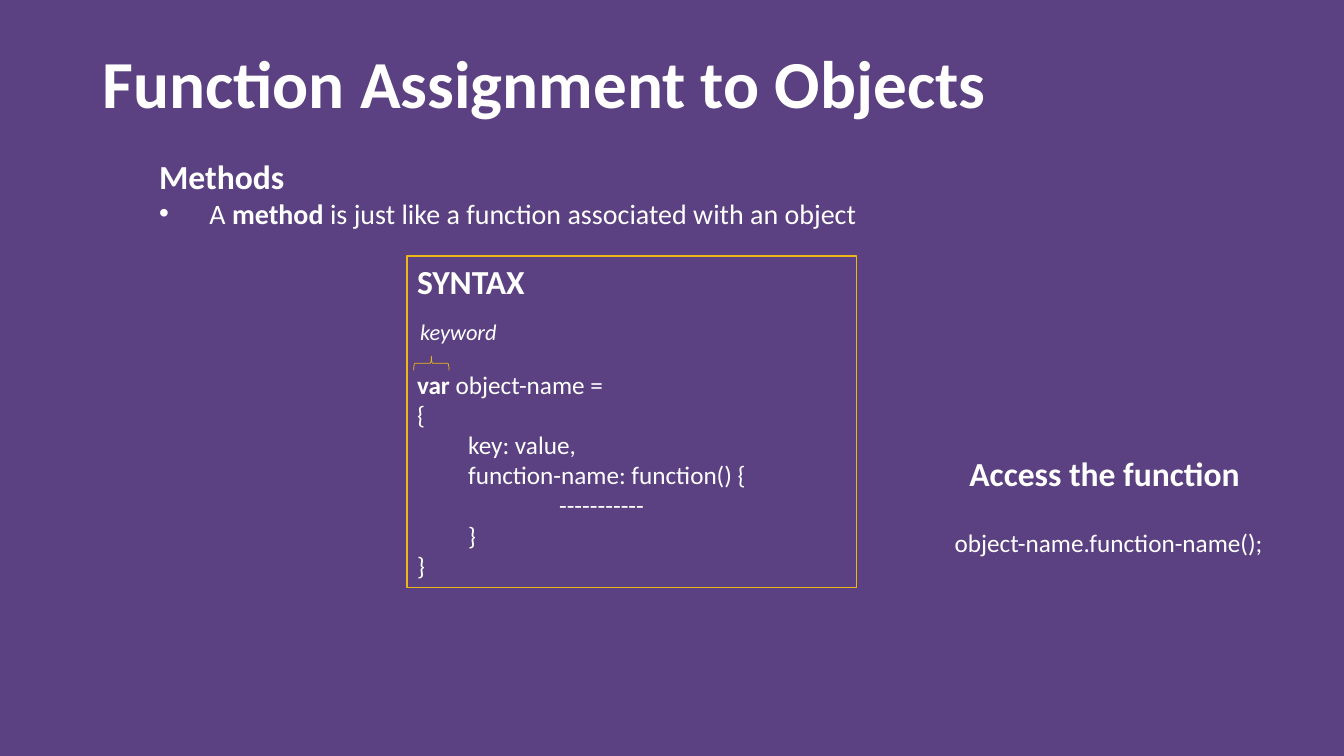
"""Build the slide on assigning functions to objects."""
from dataclasses import dataclass

from lxml import etree
from pptx import Presentation
from pptx.dml.color import RGBColor
from pptx.enum.shapes import MSO_SHAPE
from pptx.enum.text import MSO_ANCHOR, MSO_AUTO_SIZE, PP_ALIGN
from pptx.oxml.ns import qn
from pptx.util import Cm, Pt

LEFT, CENTER = PP_ALIGN.LEFT, PP_ALIGN.CENTER
TOP, MIDDLE = MSO_ANCHOR.TOP, MSO_ANCHOR.MIDDLE
NO_FIT, GROW = MSO_AUTO_SIZE.NONE, MSO_AUTO_SIZE.SHAPE_TO_FIT_TEXT
RECTANGLE, LEFT_BRACE = MSO_SHAPE.RECTANGLE, MSO_SHAPE.LEFT_BRACE


@dataclass(frozen=True)
class Theme:
    background: RGBColor = RGBColor(0x5B, 0x41, 0x81)
    text: RGBColor = RGBColor(0xFF, 0xFF, 0xFF)
    accent: RGBColor = RGBColor(0xED, 0xB7, 0x16)
    font: str = "Calibri"
    title: Pt = Pt(48)
    heading: Pt = Pt(24)
    body: Pt = Pt(20)
    code: Pt = Pt(18)
    label: Pt = Pt(16)


theme = Theme()
BOLD = {"bold": True}


def add_text(place, lines, size, align=LEFT, anchor=TOP, fit=GROW, wrap=False):
    box = page.shapes.add_textbox(*map(Cm, place))
    frame = box.text_frame
    frame_format = {"word_wrap": wrap, "auto_size": fit, "vertical_anchor": anchor}
    for name, value in frame_format.items():
        setattr(frame, name, value)
    for index, line in enumerate(lines):
        para = frame.add_paragraph() if index else frame.paragraphs[0]
        para.alignment = align
        for text, extra in line:
            span = para.add_run()
            span.text = text
            span.font.color.rgb = theme.text
            span_format = {"name": theme.font, "size": size, "bold": False, **extra}
            for name, value in span_format.items():
                setattr(span.font, name, value)
    return frame


def add_outline(kind, place, width):
    shape = page.shapes.add_shape(kind, *map(Cm, place))
    shape.shadow.inherit = False
    shape.fill.background()
    shape.line.color.rgb = theme.accent
    shape.line.width = Pt(width)
    return shape


deck = Presentation()
deck.slide_width, deck.slide_height = Cm(33.87), Cm(19.05)
page = deck.slides.add_slide(deck.slide_layouts[6])
page.background.fill.solid()
page.background.fill.fore_color.rgb = theme.background

title = add_text((2.34, 1.02, 29.21, 2.31), [[("Function Assignment to Objects", BOLD)]],
                 theme.title, anchor=MIDDLE, fit=NO_FIT, wrap=True)
title.paragraphs[0].line_spacing = 0.9

methods = add_text((3.76, 3.81, 18.26, 2.13), [
    [("Methods", {**BOLD, "size": theme.heading})],
    [("A ", {}), ("method", BOLD),
     (" is just like a function associated with an object", {})],
], theme.body)
bullet = methods.paragraphs[1]._p.get_or_add_pPr()
bullet.set("marL", str(Cm(1.27)))
bullet.set("indent", str(-Cm(1.27)))
etree.SubElement(bullet, qn("a:buFont")).set("typeface", "Arial")
etree.SubElement(bullet, qn("a:buChar")).set("char", "•")

code = """object-name =
{
         key: value,
         function-name: function() {
                         -----------
         }
}"""
code_lines = [[(text, {})] for text in code.splitlines()]
code_lines[0].insert(0, ("var ", BOLD))
add_text((10.26, 9.17, 8.94, 5.64), code_lines, theme.code)
add_text((10.26, 6.45, 3.25, 1.27), [[("SYNTAX", BOLD)]], theme.heading)

brace = add_outline(LEFT_BRACE, (10.69, 8.71, 0.36, 0.89), 0.5)
brace.rotation = 90
add_text((10.34, 7.9, 2.51, 0.94), [[("keyword", {"italic": True})]], theme.label)
add_outline(RECTANGLE, (10.26, 6.45, 11.33, 8.36), 1)

add_text((24.18, 11.3, 7.39, 1.27), [[("Access the function", BOLD)]], theme.heading)
add_text((23.7, 13.16, 8.48, 1.8), [[("object-name.function-name();", {})]],
         theme.code, align=CENTER)

deck.save("out.pptx")
